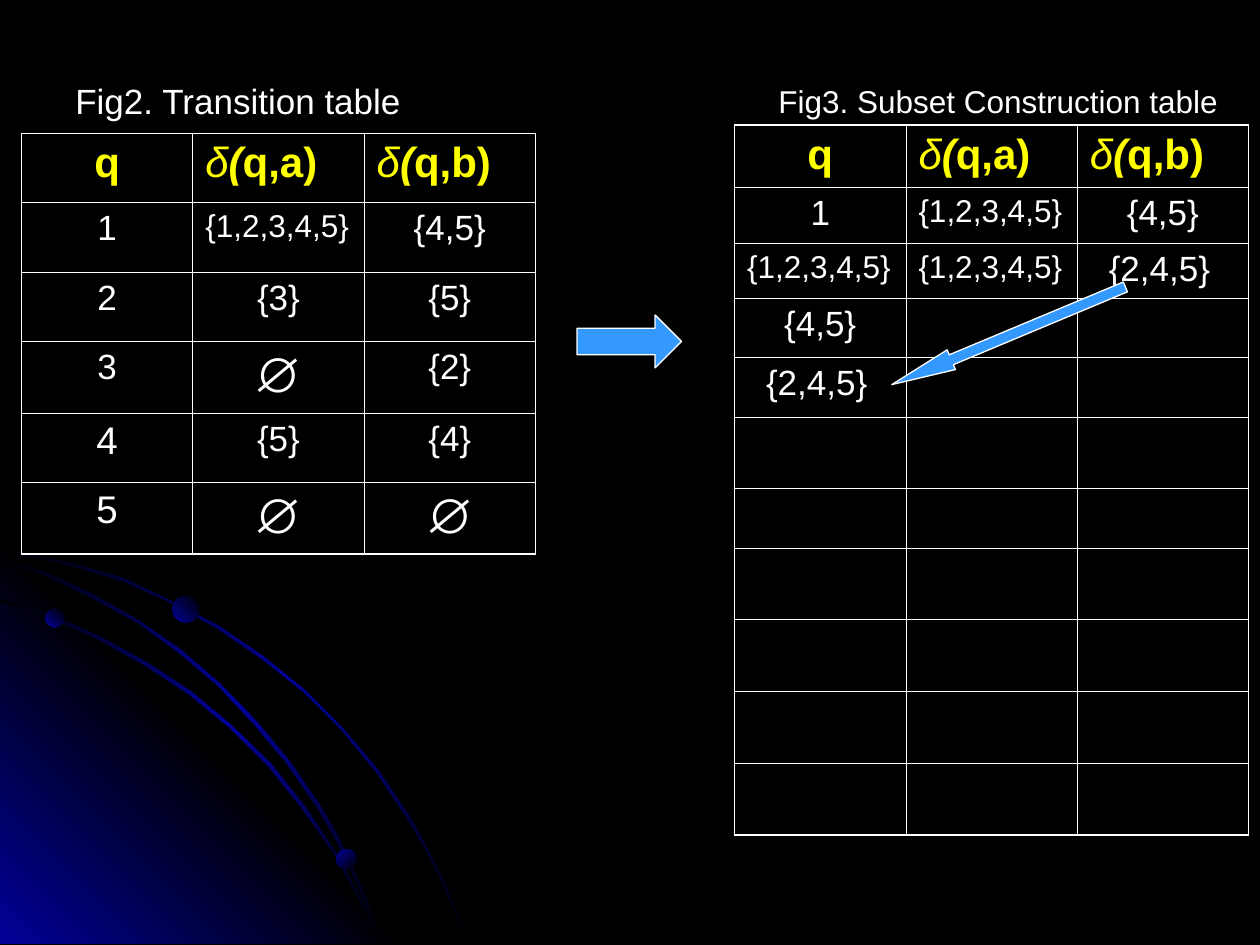
import pptx
import pptx.util
import pptx.dml.color
import pptx.enum.shapes
import pptx.enum.text
import pptx.oxml
import pptx.oxml.ns

Inches = pptx.util.Inches
Pt = pptx.util.Pt
RGB = pptx.dml.color.RGBColor.from_string
Shape = pptx.enum.shapes.MSO_SHAPE
Align = pptx.enum.text.PP_ALIGN
qn = pptx.oxml.ns.qn
NS = pptx.oxml.ns.nsdecls("a")

theme = {
    "font": "Arial", "black": "000000", "blue": "010199", "arrow": "3399FF",
    "white": "FFFFFF", "head": "FFFF00",
    "title": 20, "note": 18, "top": 24, "cell": 20,
    "sizes": {"{1,2,3,4,5}": 18, "∅": 28, "4": 22, "5": 22},
    "outer": 1.08, "inner": 0.45, "edge": 0.75,
}


def blend(shape, names, angle):
    shape.shadow.inherit = False
    shape.line.fill.background()
    shape.fill.gradient()
    shape.fill.gradient_angle = 360 - angle
    stops = shape._element.spPr.find(".//" + qn("a:gsLst"))
    for stop in list(stops):
        stops.remove(stop)
    for i, name in enumerate(names):
        place = 100000 * i // (len(names) - 1)
        stops.append(pptx.oxml.parse_xml(
            f'<a:gs {NS} pos="{place}"><a:srgbClr val="{theme[name]}"/></a:gs>'))


def style(para, size, color):
    para.font.name = theme["font"]
    para.font.size = Pt(size)
    para.font.color.rgb = RGB(theme[color])


deck = pptx.Presentation()
deck.slide_width = Inches(10)
deck.slide_height = Inches(7.5)
slide = deck.slides.add_slide(deck.slide_layouts[6])
slide.background.fill.solid()
slide.background.fill.fore_color.rgb = RGB(theme["black"])
shapes = slide.shapes

glow = ["black", "blue", "black"]
outlines = [
    (glow, 225, [
        (57, 447), (28, 441), (0, 435), (0, 438), (28, 443), (56, 449), (97, 461),
        (135, 478), (173, 499), (208, 523), (241, 549), (271, 579), (298, 612),
        (323, 649), (337, 673), (350, 698), (360, 723), (370, 749), (372, 749),
        (362, 723), (352, 698), (339, 673), (325, 648), (300, 611), (272, 578),
        (242, 548), (209, 521), (174, 497), (136, 477), (98, 459)]),
    (["blue", "black", "blue"], 135, [(322, 749), (0, 749), (0, 427)]),
    (glow, 225, [
        (285, 714), (294, 732), (301, 749), (303, 749), (296, 730), (286, 712),
        (266, 676), (242, 640), (215, 606), (184, 576), (152, 549), (117, 526),
        (79, 505), (41, 488), (0, 475), (0, 477), (39, 490), (77, 507), (115, 528),
        (150, 551), (183, 578), (213, 608), (240, 642), (265, 677)]),
    (glow, 225, [
        (0, 442), (0, 444), (36, 457), (74, 475), (109, 494), (142, 518), (173, 544),
        (202, 575), (227, 605), (252, 641), (267, 667), (280, 694), (292, 722),
        (301, 749), (303, 749), (294, 720), (282, 693), (269, 665), (254, 639),
        (229, 603), (204, 573), (175, 543), (144, 516), (111, 493), (76, 473),
        (39, 455)]),
]
for names, angle, points in outlines:
    pen = shapes.build_freeform(*points[0], scale=Inches(0.01))
    pen.add_line_segments(points[1:], close=True)
    blend(pen.convert_to_shape(), names, angle)

for x, y, size, angle in [(0.36, 4.83, 0.15, 135), (2.67, 6.74, 0.16, 225),
                          (1.37, 4.73, 0.21, 135)]:
    dot = shapes.add_shape(Shape.OVAL, Inches(x), Inches(y), Inches(size), Inches(size))
    blend(dot, ["black", "blue"], angle)

title = shapes.add_textbox(Inches(0.5), Inches(0.58), Inches(9), Inches(4.95))
title.text_frame.word_wrap = True
title.text_frame.text = "Fig2. Transition table"
style(title.text_frame.paragraphs[0], theme["title"], "white")

wide = "{1,2,3,4,5}"
shifted = "{2,4,5}"
blank = ["", "", ""]
tables = [
    (0.17, 1.06, [0.55, 0.55, 0.55, 0.57, 0.55, 0.57], [
        ["1", wide, "{4,5}"], ["2", "{3}", "{5}"], ["3", "∅", "{2}"],
        ["4", "{5}", "{4}"], ["5", "∅", "∅"]]),
    (5.83, 0.99, [0.5, 0.44, 0.44, 0.47, 0.47, 0.57, 0.47] + [0.57] * 4, [
        ["1", wide, "{4,5}"], [wide, wide, shifted], ["{4,5}", "", ""],
        [shifted, "", ""]] + [blank] * 6),
]
for left, top, heights, body in tables:
    rows = [["q", "q,a)", "q,b)"]] + body
    last = len(rows) - 1
    grid = shapes.add_table(len(rows), 3, Inches(left), Inches(top),
                            Inches(4.08), Inches(sum(heights))).table
    grid.first_row = grid.horz_banding = False
    for col in grid.columns:
        col.width = Inches(1.36)
    for r, row in enumerate(rows):
        grid.rows[r].height = Inches(heights[r])
        for c, text in enumerate(row):
            cell = grid.cell(r, c)
            props = cell._tc.get_or_add_tcPr()
            for side, edge in [("L", c == 0), ("R", c == 2), ("T", r == 0), ("B", r == last)]:
                width = Pt(theme["outer" if edge else "inner"])
                props.append(pptx.oxml.parse_xml(
                    f'<a:ln{side} {NS} w="{width}"><a:solidFill>'
                    f'<a:srgbClr val="{theme["white"]}"/></a:solidFill></a:ln{side}>'))
            cell.fill.background()
            para = cell.text_frame.paragraphs[0]
            if r == 0:
                style(para, theme["top"], "head")
                parts = [(text, True, False)]
                if c:
                    parts = [("δ", False, True), ("(", True, True)] + parts
                for part, bold, slant in parts:
                    run = para.add_run()
                    run.text = part
                    run.font.bold = bold
                    run.font.italic = slant
            else:
                para.text = text
                style(para, theme["sizes"].get(text, theme["cell"]), "white")
            if text == shifted:
                cell.margin_left = Inches(0.25)
            elif text != wide and (r or c == 0):
                para.alignment = Align.CENTER

for kind, x, y, w, h, turn, head in [
        (Shape.DOWN_ARROW, 7.92, 1.66, 0.17, 2.01, 67.3, 3.01),
        (Shape.RIGHT_ARROW, 4.58, 2.5, 0.83, 0.42, 0, 0.5)]:
    arrow = shapes.add_shape(kind, Inches(x), Inches(y), Inches(w), Inches(h))
    arrow.shadow.inherit = False
    arrow.rotation = turn
    arrow.adjustments[1] = head
    arrow.fill.solid()
    arrow.fill.fore_color.rgb = RGB(theme["arrow"])
    arrow.line.color.rgb = RGB(theme["white"])
    arrow.line.width = Pt(theme["edge"])

note = shapes.add_textbox(Inches(6.08), Inches(0.6), Inches(3.69), Inches(0.4))
note.text_frame.word_wrap = False
note.text_frame.auto_size = pptx.enum.text.MSO_AUTO_SIZE.SHAPE_TO_FIT_TEXT
note.text_frame.text = "Fig3. Subset Construction table"
style(note.text_frame.paragraphs[0], theme["note"], "white")

deck.save("out.pptx")
